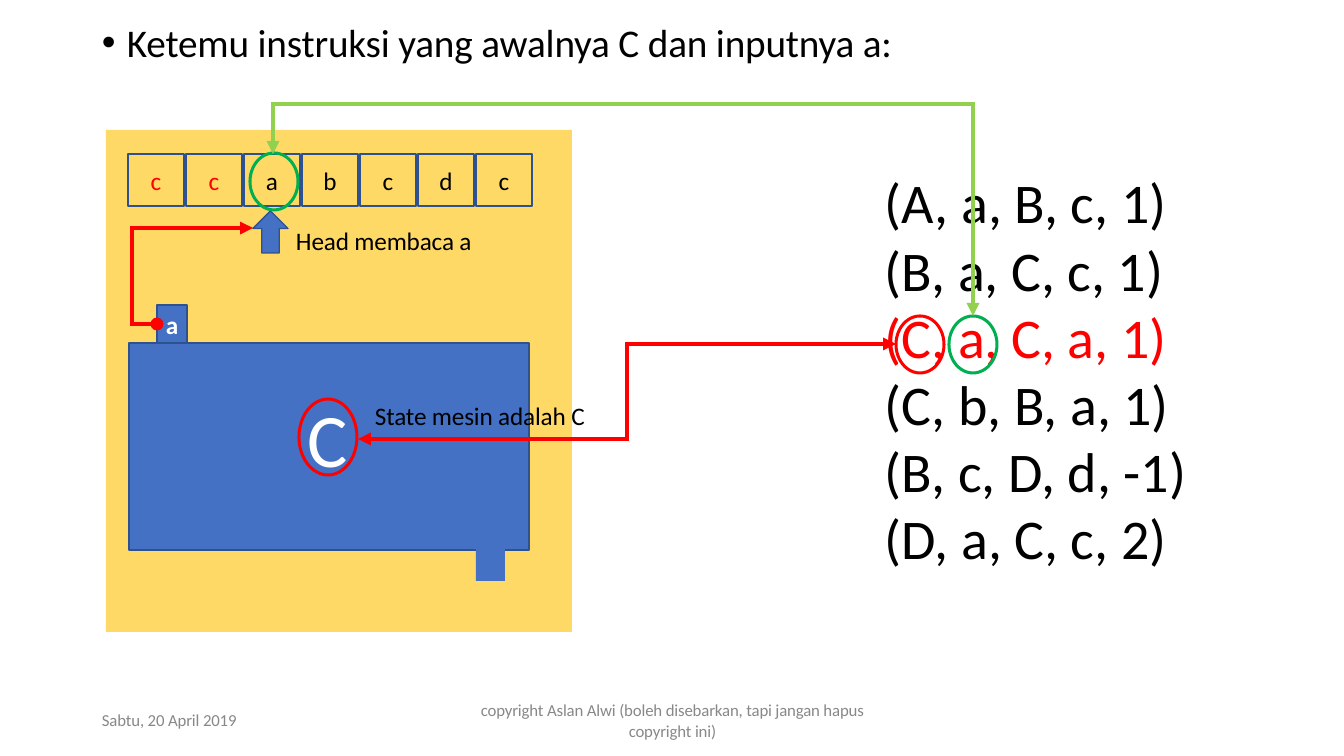
from lxml import etree
from pptx import Presentation
from pptx import util as u
from pptx.dml.color import RGBColor
from pptx.enum import shapes, text
from pptx.oxml import ns

PX = 914400 / 100.8
BLUE, EDGE, YELLOW = "4471C4", "2E528F", "FFD966"
RED, GREEN, LIME = "FF0000", "00AF50", "92D050"
BLACK, WHITE, GREY = "000000", "FFFFFF", "888888"
KIND = shapes.MSO_SHAPE
CENTER = text.PP_ALIGN.CENTER


def px(n):
    return u.Emu(round(n * PX))


def color(value):
    return RGBColor.from_string(value)


deck = Presentation()
deck.slide_width, deck.slide_height = u.Inches(13.333), u.Inches(7.5)
page = deck.slides.add_slide(deck.slide_layouts[6])


def write(box, lines, size, ink, align=None, spacing=0, bold=False):
    """Fill a box with one paragraph per line."""
    frame = box.text_frame
    frame.margin_left = frame.margin_right = 0
    frame.margin_top = frame.margin_bottom = 0
    for i, line in enumerate(lines):
        para = frame.paragraphs[0] if i == 0 else frame.add_paragraph()
        para.alignment = align
        span = para.add_run()
        span.text = line
        span.font.name, span.font.size, span.font.bold = "Calibri", u.Pt(size), bold
        span.font.color.rgb = color(ink)
        span.font._element.set("spc", str(spacing))
    return frame.paragraphs


def add_figure(kind, place, fill=None, line=None, width=0.96):
    """Add a preset shape without shadow."""
    figure = page.shapes.add_shape(kind, *map(px, place))
    figure.shadow.inherit = False
    if fill:
        figure.fill.solid()
        figure.fill.fore_color.rgb = color(fill)
    else:
        figure.fill.background()
    if line:
        figure.line.color.rgb = color(line)
        figure.line.width = u.Pt(width)
    else:
        figure.line.fill.background()
    figure.text_frame.word_wrap = False
    figure.text_frame.vertical_anchor = text.MSO_ANCHOR.MIDDLE
    return figure


# Yellow panel
add_figure(KIND.RECTANGLE, (106, 130, 466, 502), YELLOW)

# Text boxes: place, lines, size, colour, alignment, letter spacing
labels = {
    "title": ((101, 18, 801, 48), ["Ketemu instruksi yang awalnya C dan inputnya a:"],
              28, BLACK, None, -10),
    "rules": ((885, 168, 304, 406),
              ["(A, a, B, c, 1)", "(B, a, C, c, 1)", "(C, a, C, a, 1)",
               "(C, b, B, a, 1)", "(B, c, D, d, -1)", "(D, a, C, c, 2)"],
              40, BLACK, None, 0),
    "footer": ((475, 703, 395, 40),
               ["copyright Aslan Alwi (boleh disebarkan, tapi jangan hapus", "copyright ini)"],
               12, GREY, CENTER, -10),
    "date": ((102, 713, 150, 19), ["Sabtu, 20 April 2019"], 12, GREY, None, -10),
}
paras = {}
for name, (place, *content) in labels.items():
    box = page.shapes.add_textbox(*map(px, place))
    box.text_frame.word_wrap = True
    paras[name] = write(box, *content)

# Title bullet
props = paras["title"][0]._p.get_or_add_pPr()
props.set("marL", str(px(26)))
props.set("indent", str(px(-25)))
etree.SubElement(props, ns.qn("a:buFont")).set("typeface", "Arial")
etree.SubElement(props, ns.qn("a:buChar")).set("char", "•")

# Line spacing, and the matching rule in red
for para in paras["rules"]:
    para.line_spacing = u.Pt(48)
paras["rules"][2].runs[0].font.color.rgb = color(RED)
for name in ("footer", "date"):
    paras[name][0].line_spacing = u.Pt(12.4)

# Tape
for i, symbol in enumerate("ccabcdc"):
    cell = add_figure(KIND.RECTANGLE, (128 + 58 * i, 154, 56, 52), line=EDGE)
    write(cell, [symbol], 18, RED if i < 2 else BLACK, CENTER)

# Head, machine body, input tab and foot
add_figure(KIND.UP_ARROW, (253, 211, 35, 42), BLUE, EDGE)
add_figure(KIND.RECTANGLE, (129, 343, 400, 207), BLUE, EDGE)
tab = add_figure(KIND.RECTANGLE, (157, 305, 30, 38), BLUE, EDGE)
write(tab, ["a"], 18, WHITE, CENTER, bold=True)
add_figure(KIND.RECTANGLE, (476, 543, 29, 38), BLUE)

# Rings round the state and the input
state = add_figure(KIND.OVAL, (299, 399, 58, 76), line=RED, width=2.16)
write(state, ["C"], 54, WHITE, CENTER)
for left, top, ink in ((896, 316, RED), (949, 316, GREEN), (250, 153, GREEN)):
    add_figure(KIND.OVAL, (left, top, 48, 57), line=ink, width=2.16)

# Links: two three-leg paths and one elbow
links = []
routes = [
    (RED, "oval", [(157, 324), (132, 324), (132, 228), (253, 228)]),
    (LIME, "triangle", [(273, 154), (273, 104), (973, 104), (973, 316)]),
]
for ink, head, points in routes:
    corners = [(px(x), px(y)) for x, y in points]
    builder = page.shapes.build_freeform(*corners[0])
    builder.add_line_segments(corners[1:], close=False)
    route = builder.convert_to_shape()
    route.shadow.inherit = False
    route.fill.background()
    links.append((route, ink, head))
elbow = page.shapes.add_connector(shapes.MSO_CONNECTOR.ELBOW, px(358), px(439), px(896), px(344))
etree.SubElement(elbow._element.spPr, ns.qn("a:effectLst"))
links.append((elbow, RED, "triangle"))

for link, ink, head in links:
    link.line.color.rgb = color(ink)
    link.line.width = u.Pt(3.1)
    stroke = link.line._get_or_add_ln()
    etree.SubElement(stroke, ns.qn("a:miter")).set("lim", "800000")
    etree.SubElement(stroke, ns.qn("a:headEnd")).set("type", head)
    etree.SubElement(stroke, ns.qn("a:tailEnd")).set("type", "triangle")

# Captions
for left, top, caption in ((296, 225, "Head membaca a"), (375, 400, "State mesin adalah C")):
    box = page.shapes.add_textbox(px(left), px(top), px(215), px(33))
    box.text_frame.word_wrap = True
    write(box, [caption], 18, BLACK, spacing=-10)

deck.save("out.pptx")
